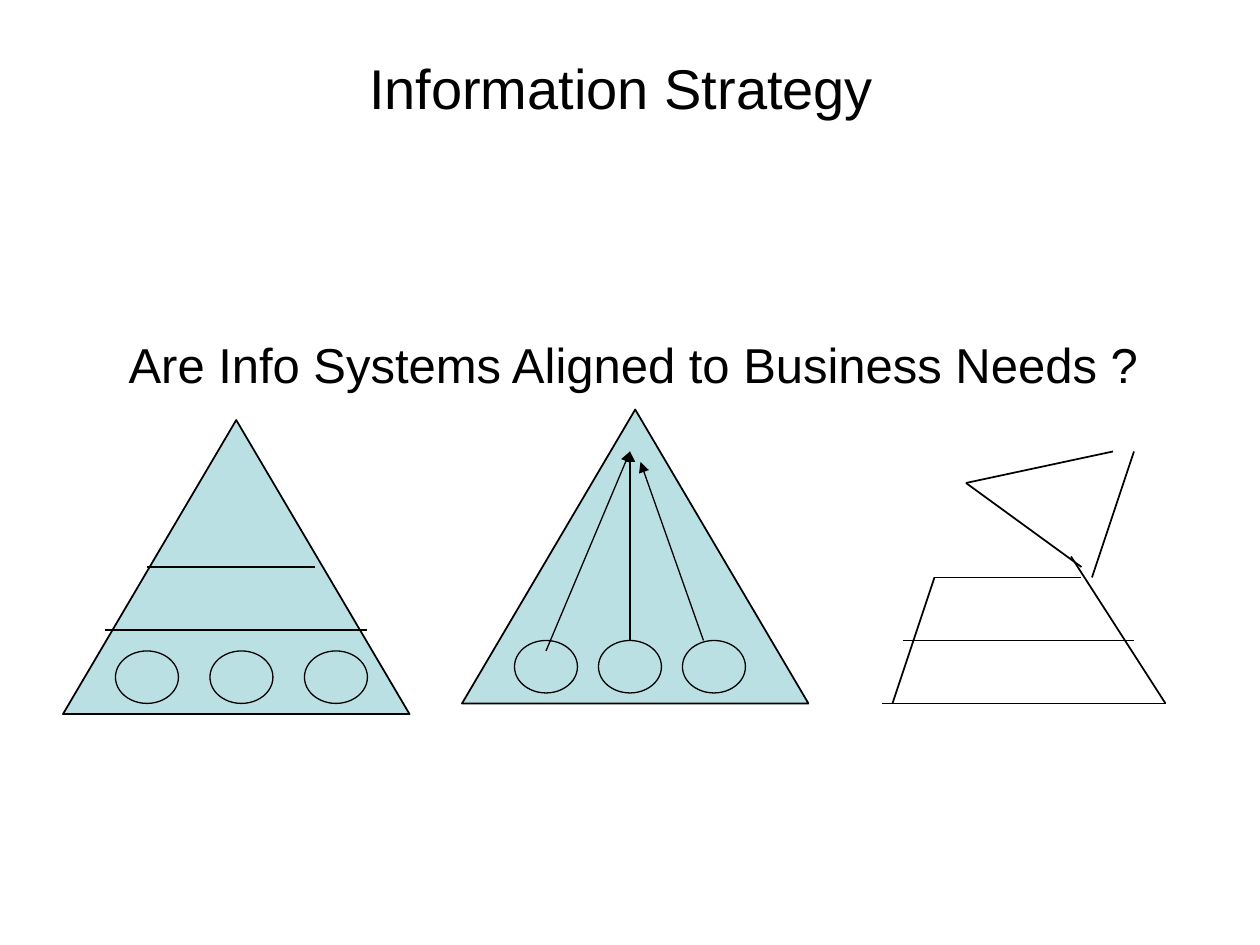
from lxml.etree import SubElement
from pptx import Presentation
from pptx.dml.color import RGBColor
from pptx.enum.shapes import MSO_CONNECTOR as Connector, MSO_SHAPE as Shape
from pptx.enum.text import MSO_ANCHOR as Anchor, PP_ALIGN as Align
from pptx.oxml.ns import qn
from pptx.util import Pt

PX = 9525
BLACK = RGBColor(0x00, 0x00, 0x00)
PALE_TEAL = RGBColor(0xBB, 0xE0, 0xE3)
PYRAMID_SIZE = (264, 224)
SYSTEM_SIZE = (48, 40)


def emu(*lengths):
    return [length * PX for length in lengths]


class SlideBuilder:
    font_name = "Arial"
    thin, medium = 0.75, 1

    def __init__(self, slide):
        self.shapes = slide.shapes

    def set_text(self, holder, text, size, align, margins):
        frame = holder.text_frame
        frame.text = text
        left, top, right, bottom = emu(*margins)
        frame_format = {
            "word_wrap": True,
            "vertical_anchor": Anchor.TOP,
            "margin_left": left,
            "margin_top": top,
            "margin_right": right,
            "margin_bottom": bottom,
        }
        for name, value in frame_format.items():
            setattr(frame, name, value)
        paragraph = frame.paragraphs[0]
        paragraph.alignment = align
        for name, value in {"name": self.font_name, "size": Pt(size)}.items():
            setattr(paragraph.font, name, value)
        paragraph.font.color.rgb = BLACK

    def title(self, text, box, size, margins):
        heading = self.shapes.title
        for name, value in zip(("left", "top", "width", "height"), emu(*box)):
            setattr(heading, name, value)
        self.set_text(heading, text, size, Align.CENTER, margins)

    def text(self, text, box, size, margins):
        question = self.shapes.add_textbox(*emu(*box))
        self.set_text(question, text, size, Align.LEFT, margins)

    def outline(self, line, width):
        line.color.rgb = BLACK
        line.width = Pt(width)

    def figure(self, kind, box, width):
        figure = self.shapes.add_shape(kind, *emu(*box))
        figure.shadow.inherit = False
        figure.fill.solid()
        figure.fill.fore_color.rgb = PALE_TEAL
        self.outline(figure.line, width)

    def pyramid(self, left, top):
        self.figure(Shape.ISOSCELES_TRIANGLE, (left, top, *PYRAMID_SIZE), self.medium)

    def systems(self, left, top, step):
        for index in range(3):
            self.figure(Shape.OVAL, (left + index * step, top, *SYSTEM_SIZE), self.thin)

    def line(self, ends, width=medium):
        connector = self.shapes.add_connector(Connector.STRAIGHT, *emu(*ends))
        self.outline(connector.line, width)
        SubElement(connector.element.spPr, qn("a:effectLst"))
        return connector

    def arrow(self, ends):
        stroke = self.line(ends, self.thin).element.spPr.find(qn("a:ln"))
        SubElement(stroke, qn("a:tailEnd"), type="triangle")


def main():
    deck = Presentation()
    deck.slide_width, deck.slide_height = emu(960, 720)
    builder = SlideBuilder(deck.slides.add_slide(deck.slide_layouts[5]))

    builder.title("Information Strategy", (48, 29, 864, 120), 32, (10, 12, 23, 5))
    builder.text("Are Info Systems Aligned to Business Needs ?", (88, 248, 793, 393), 28, (10, 7, 10, 5))

    builder.pyramid(48, 320)
    layer_lines = [(80, 480, 280, 480), (192, 440, 192, 440), (112, 432, 240, 432)]
    broken_pyramid = [
        (672, 536, 888, 536),
        (680, 536, 712, 440),
        (888, 536, 816, 424),
        (712, 440, 824, 440),
        (736, 368, 824, 432),
        (736, 368, 848, 344),
        (864, 344, 832, 440),
        (688, 488, 864, 488),
    ]
    for ends in layer_lines + broken_pyramid:
        builder.line(ends)
    builder.systems(88, 496, 72)

    builder.pyramid(352, 312)
    builder.systems(392, 488, 64)
    for ends in [(416, 496, 480, 344), (480, 488, 480, 344), (536, 488, 488, 352)]:
        builder.arrow(ends)

    deck.save("out.pptx")


if __name__ == "__main__":
    main()
